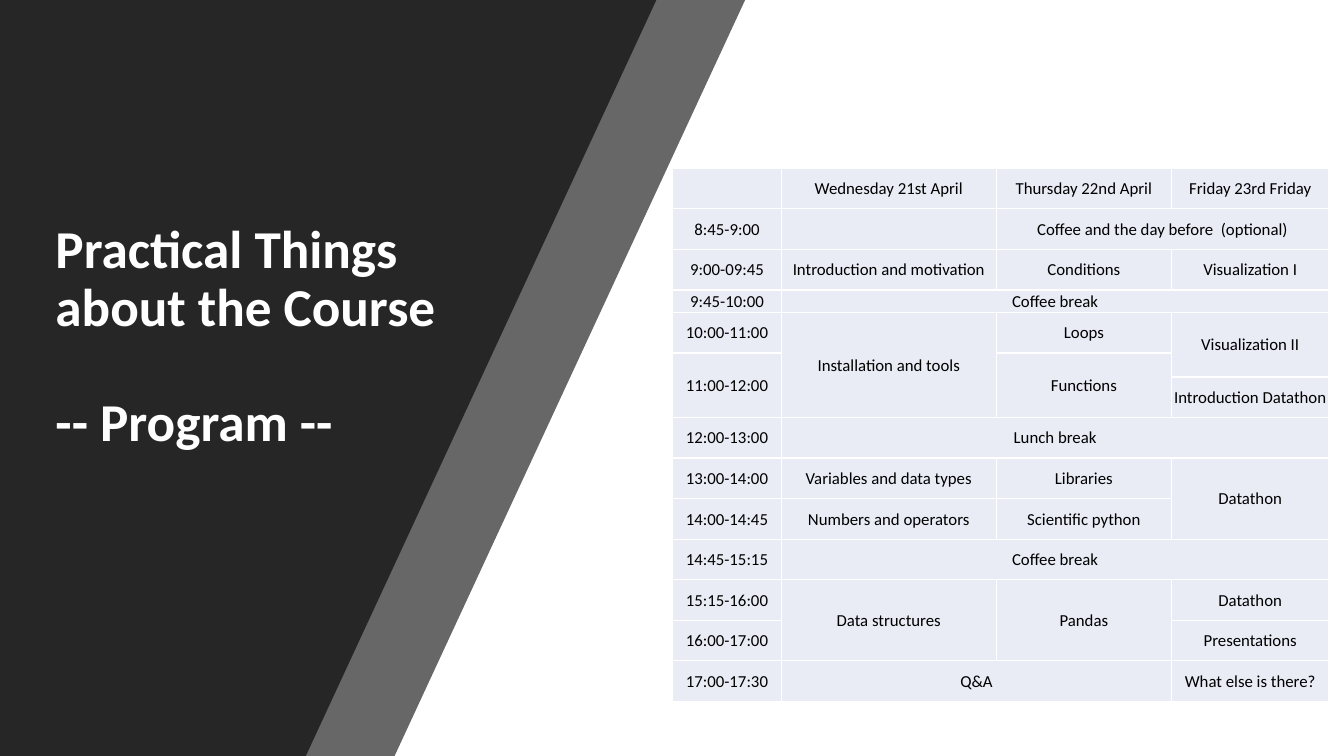
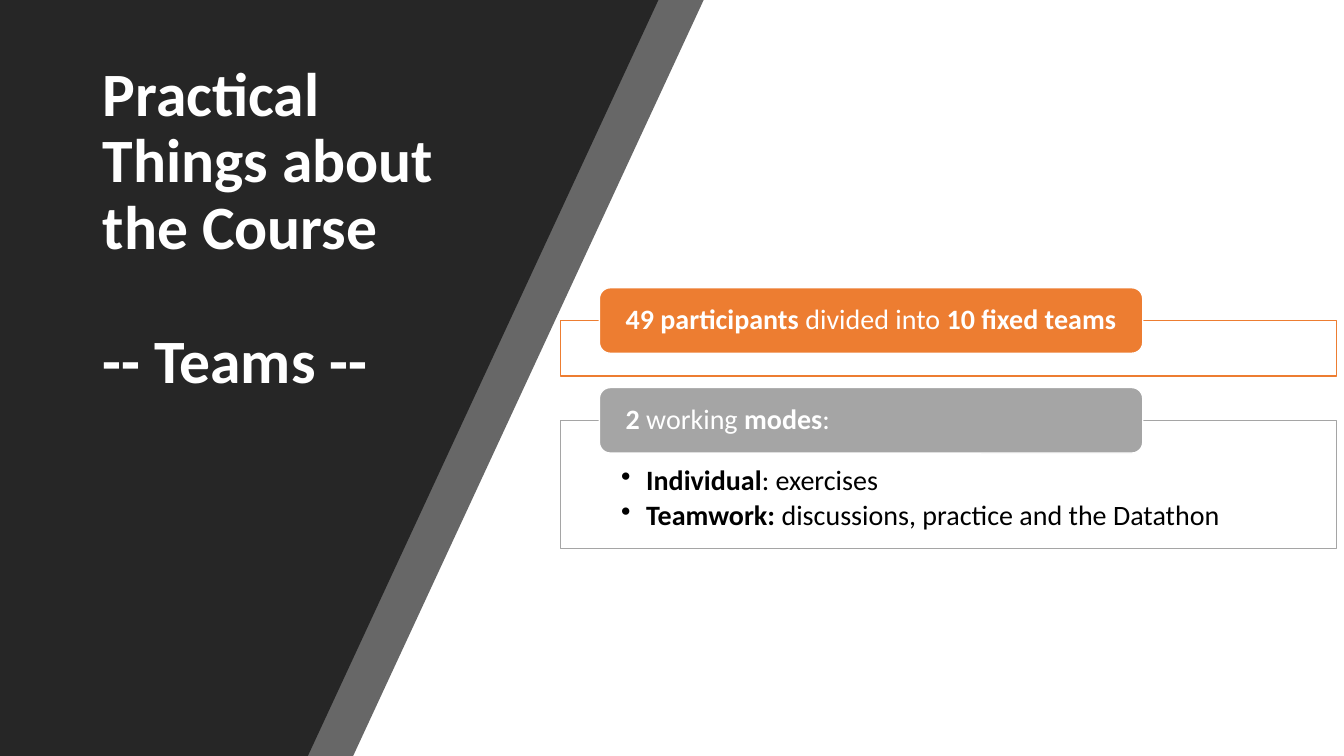
import pptx
import pptx.util
import pptx.dml.color
import pptx.enum.shapes
import pptx.enum.text
import pptx.oxml
import pptx.oxml.ns

Pt = pptx.util.Pt
RGB = pptx.dml.color.RGBColor
ALIGN = pptx.enum.text.PP_ALIGN
ANCHOR = pptx.enum.text.MSO_ANCHOR
SHAPE = pptx.enum.shapes.MSO_SHAPE

WIDE = pptx.util.Inches(13.33)
HIGH = pptx.util.Inches(7.5)
FONT = "Calibri"
DARK = RGB(0x26, 0x26, 0x26)
GREY = RGB(0x67, 0x67, 0x67)
WHITE = RGB(0xFF, 0xFF, 0xFF)
BLACK = RGB(0x00, 0x00, 0x00)
PALE = RGB(0xE9, 0xEB, 0xF5)
ORANGE = RGB(0xED, 0x7D, 0x31)
SILVER = RGB(0xA5, 0xA5, 0xA5)

SLANT = 26.08
TAB_HIGH = 8.67
LEFT, ABOVE = "<", "^"
COLS = (1.08, 2.13, 1.74, 1.56)
SLIM = {3: 0.042, 5: 0.045}
PLAN = (
    ("", "Wednesday 21st April", "Thursday 22nd April", "Friday 23rd Friday"),
    ("8:45-9:00", "", "Coffee and the day before  (optional)", LEFT),
    ("9:00-09:45", "Introduction and motivation", "Conditions", "Visualization I"),
    ("9:45-10:00", "Coffee break", LEFT, LEFT),
    ("10:00-11:00", "Installation and tools", "Loops", "Visualization II"),
    ("11:00-12:00", ABOVE, "Functions", ABOVE),
    (ABOVE, ABOVE, ABOVE, "Introduction Datathon"),
    ("12:00-13:00", "Lunch break", LEFT, LEFT),
    ("13:00-14:00", "Variables and data types", "Libraries", "Datathon"),
    ("14:00-14:45", "Numbers and operators", "Scientific python", ABOVE),
    ("14:45-15:15", "Coffee break", LEFT, LEFT),
    ("15:15-16:00", "Data structures", "Pandas", "Datathon"),
    ("16:00-17:00", ABOVE, ABOVE, "Presentations"),
    ("17:00-17:30", "Q&A", LEFT, "What else is there?"),
)


def box(x, y, w, h):
    """Turn percentages of the slide into left, top, width and height."""
    return tuple(int(part * side / 100)
                 for part, side in zip((x, y, w, h), (WIDE, HIGH) * 2))


def style(run, size, color, bold=False):
    """Format one run."""
    run.font.name = FONT
    run.font.size = Pt(size)
    run.font.bold = bold
    run.font.color.rgb = color


def mix(par, text, color):
    """Write a paragraph whose parts between stars are bold."""
    par.line_spacing = 0.9
    for i, part in enumerate(text.split("*")):
        if part:
            run = par.add_run()
            run.text = part
            style(run, 20, color, i % 2 == 1)


def band(slide, top, color):
    """Draw a slanted band from the left edge to a share of the top edge."""
    right, foot = int(WIDE * top / 100), int(WIDE * (top - SLANT) / 100)
    pen = slide.shapes.build_freeform(0, 0)
    pen.add_line_segments([(right, 0), (foot, HIGH), (0, HIGH)], close=True)
    shape = pen.convert_to_shape()
    shape.shadow.inherit = False
    shape.fill.solid()
    shape.fill.fore_color.rgb = color
    shape.line.fill.background()


def start(deck, area, tops, part, size, anchor):
    """Add a slide with its two bands and its title."""
    slide = deck.slides.add_slide(deck.slide_layouts[5])
    for top, color in zip(tops, (GREY, DARK)):
        band(slide, top, color)
    title = slide.shapes.title
    title.left, title.top, title.width, title.height = area
    slide.shapes._spTree.append(title._element)
    frame = title.text_frame
    frame.text = "Practical Things about the Course\n" + part
    frame.word_wrap = True
    frame.auto_size = pptx.enum.text.MSO_AUTO_SIZE.NONE
    frame.vertical_anchor = anchor
    for par in frame.paragraphs:
        par.alignment = ALIGN.LEFT
        par.line_spacing = 0.9
        style(par.runs[0], size, WHITE, True)
    frame.paragraphs[1].space_before = Pt(round(size * 1.08))
    return slide


def edge(cell):
    """Give a cell thin white borders."""
    for side in ("lnL", "lnR", "lnT", "lnB"):
        cell._tc.get_or_add_tcPr().append(pptx.oxml.parse_xml(
            f'<a:{side} {pptx.oxml.ns.nsdecls("a")} w="12700"><a:solidFill>'
            f'<a:srgbClr val="{WHITE}"/></a:solidFill></a:{side}>'))


def reach(row, col):
    """Find the last row and column that a cell covers."""
    down, right = row, col
    while right + 1 < len(COLS) and PLAN[row][right + 1] == LEFT:
        right += 1
    while down + 1 < len(PLAN) and PLAN[down + 1][col] == ABOVE:
        down += 1
    return down, right


def agenda(slide, area):
    """Fill a box with the timetable."""
    table = slide.shapes.add_table(len(PLAN), len(COLS), *area).table
    table.first_row = table.horz_banding = False
    for col, part in zip(table.columns, COLS):
        col.width = int(area[2] * part / sum(COLS))
    even = (1 - sum(SLIM.values())) / (len(PLAN) - len(SLIM))
    for i, row in enumerate(table.rows):
        row.height = int(area[3] * SLIM.get(i, even))
    for i, line in enumerate(PLAN):
        for j, text in enumerate(line):
            cell = table.cell(i, j)
            edge(cell)
            cell.fill.solid()
            cell.fill.fore_color.rgb = PALE
            cell.margin_left = cell.margin_right = cell.margin_top = Pt(0.7)
            cell.margin_bottom = 0
            cell.vertical_anchor = ANCHOR.MIDDLE
            if text in (LEFT, ABOVE):
                continue
            if reach(i, j) != (i, j):
                cell.merge(table.cell(*reach(i, j)))
            if text:
                cell.text_frame.text = text
                par = cell.text_frame.paragraphs[0]
                par.alignment = ALIGN.CENTER
                style(par.runs[0], 12, BLACK)


def block(slide, kind, area, fill, line, pads):
    """Add a filled shape and return its text frame."""
    shape = slide.shapes.add_shape(kind, *area)
    shape.shadow.inherit = False
    shape.fill.solid()
    shape.fill.fore_color.rgb = fill
    shape.line.color.rgb = line
    shape.line.width = Pt(1)
    frame = shape.text_frame
    frame.word_wrap = True
    frame.margin_left, frame.margin_top, frame.margin_right, frame.margin_bottom = (
        pptx.util.Inches(pad) for pad in pads)
    return frame


def card(slide, area, color, head, points=()):
    """Draw a framed panel with a tab on its top edge and bullets inside."""
    x, y, w, h = area
    frame = block(slide, SHAPE.RECTANGLE, area, WHITE, color, (0.6, 0.46, 0.6, 0.16))
    frame.vertical_anchor = ANCHOR.TOP
    for i, text in enumerate(points):
        par = frame.add_paragraph() if i else frame.paragraphs[0]
        props = par._p.get_or_add_pPr()
        props.set("marL", "228600")
        props.set("indent", "-228600")
        props.append(pptx.oxml.parse_xml(
            f'<a:buChar {pptx.oxml.ns.nsdecls("a")} char="•"/>'))
        par.alignment = ALIGN.LEFT
        par.space_after = Pt(3)
        mix(par, text, BLACK)
    tall = int(HIGH * TAB_HIGH / 100)
    tab = block(slide, SHAPE.ROUNDED_RECTANGLE,
                (x + int(w * 0.05), y - tall // 2, int(w * 0.7), tall),
                color, WHITE, (0.23, 0, 0.1, 0))
    tab.vertical_anchor = ANCHOR.MIDDLE
    tab.paragraphs[0].alignment = ALIGN.LEFT
    mix(tab.paragraphs[0], head, WHITE)


def main():
    """Build and save the deck."""
    deck = pptx.Presentation()
    deck.slide_width, deck.slide_height = WIDE, HIGH
    slide = start(deck, box(3.38, 27.73, 31.8, 32.8), (55.44, 48.84),
                  "-- Program --", 38, ANCHOR.BOTTOM)
    agenda(slide, box(50.04, 22.27, 48.84, 70.53))
    slide = start(deck, box(6.9, 6.4, 26.86, 48), (52.36, 48.99),
                  "-- Teams --", 44, ANCHOR.MIDDLE)
    card(slide, box(41.71, 42.4, 57.76, 7.33), ORANGE,
         "*49 participants *divided into *10 fixed teams*")
    card(slide, box(41.71, 55.6, 57.76, 16.93), SILVER, "*2* working *modes*:",
         ("*Individual*: exercises",
          "*Teamwork:* discussions, practice and the Datathon"))
    deck.save("out.pptx")


if __name__ == "__main__":
    main()
